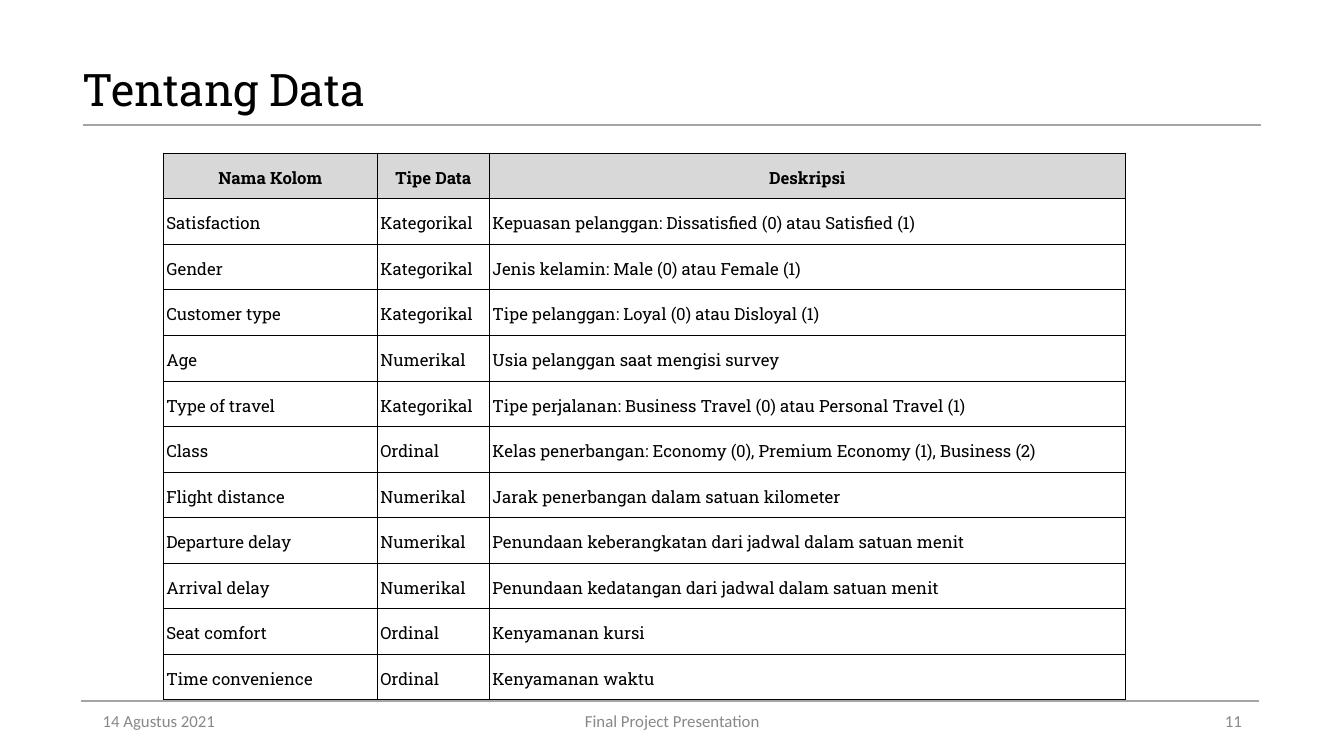
from dataclasses import dataclass

from lxml import etree
from pptx import Presentation
from pptx.dml.color import RGBColor
from pptx.enum.shapes import MSO_CONNECTOR
from pptx.enum.text import MSO_ANCHOR, PP_ALIGN
from pptx.oxml.ns import qn
from pptx.util import Inches, Pt

STRAIGHT = MSO_CONNECTOR.STRAIGHT
MIDDLE, BOTTOM = MSO_ANCHOR.MIDDLE, MSO_ANCHOR.BOTTOM
LEFT, CENTER, RIGHT = PP_ALIGN.LEFT, PP_ALIGN.CENTER, PP_ALIGN.RIGHT

BLACK = RGBColor(0x00, 0x00, 0x00)
FOOTER_GRAY = RGBColor(0x88, 0x88, 0x88)
RULE_GRAY = RGBColor(0xA5, 0xA5, 0xA5)
HEADER_GRAY = RGBColor(0xD8, 0xD8, 0xD8)

SLIDE_W, SLIDE_H = Inches(13.33), Inches(7.5)

TITLE_FONT = {"name": "Roboto Slab", "size": Pt(32), "bold": False}
FOOTER_FONT = {"name": "Calibri", "size": Pt(12), "bold": False}
HEADER_FONT = {"name": "Roboto Slab", "size": Pt(12), "bold": True}
BODY_FONT = HEADER_FONT | {"bold": False}


@dataclass(frozen=True)
class Label:
    """A text box; its lengths are percentages of the slide."""
    text: str
    left: float
    top: float
    width: float
    height: float
    font: dict
    color: RGBColor
    align: PP_ALIGN = LEFT
    spacing: float = 1.0


@dataclass(frozen=True)
class Rule:
    """A horizontal line; its lengths are percentages of the slide."""
    start: float
    end: float
    top: float


FOOTER_TOP, FOOTER_H = 92.67, 5.33
LABELS = [
    Label("14 Agustus 2021", 6.9, FOOTER_TOP, 22.5, FOOTER_H, FOOTER_FONT, FOOTER_GRAY),
    Label("Final Project Presentation", 33.15, FOOTER_TOP, 33.75, FOOTER_H,
          FOOTER_FONT, FOOTER_GRAY, CENTER),
    Label("11", 70.65, FOOTER_TOP, 22.5, FOOTER_H, FOOTER_FONT, FOOTER_GRAY, RIGHT),
    Label("Tentang Data", 5.43, 2.5, 86.25, 19.33, TITLE_FONT, BLACK, spacing=0.9),
]
RULES = [Rule(6, 93.7, FOOTER_TOP), Rule(6.15, 93.85, 16.53)]

TABLE_LEFT, TABLE_TOP = 12.15, 20.27
COLUMN_WIDTHS = (15.93, 8.34, 47.3)
ROW_HEIGHT = 6.03
ROWS = [
    ("Nama Kolom", "Tipe Data", "Deskripsi"),
    ("Satisfaction", "Kategorikal", "Kepuasan pelanggan: Dissatisfied (0) atau Satisfied (1)"),
    ("Gender", "Kategorikal", "Jenis kelamin: Male (0) atau Female (1)"),
    ("Customer type", "Kategorikal", "Tipe pelanggan: Loyal (0) atau Disloyal (1)"),
    ("Age", "Numerikal", "Usia pelanggan saat mengisi survey"),
    ("Type of travel", "Kategorikal",
     "Tipe perjalanan: Business Travel (0) atau Personal Travel (1)"),
    ("Class", "Ordinal", "Kelas penerbangan: Economy (0), Premium Economy (1), Business (2)"),
    ("Flight distance", "Numerikal", "Jarak penerbangan dalam satuan kilometer"),
    ("Departure delay", "Numerikal", "Penundaan keberangkatan dari jadwal dalam satuan menit"),
    ("Arrival delay", "Numerikal", "Penundaan kedatangan dari jadwal dalam satuan menit"),
    ("Seat comfort", "Ordinal", "Kenyamanan kursi"),
    ("Time convenience", "Ordinal", "Kenyamanan waktu"),
]


def across(percent: float) -> int:
    return round(SLIDE_W * percent / 100)


def down(percent: float) -> int:
    return round(SLIDE_H * percent / 100)


def set_attrs(target, values: dict) -> None:
    for name, value in values.items():
        setattr(target, name, value)


def write(tf, text: str, font: dict, color: RGBColor, align: PP_ALIGN, spacing: float) -> None:
    p = tf.paragraphs[0]
    set_attrs(p, {"alignment": align, "line_spacing": spacing})
    r = p.add_run()
    r.text = text
    set_attrs(r.font, font)
    r.font.color.rgb = color


def add_label(s, label: Label) -> None:
    box = s.shapes.add_textbox(across(label.left), down(label.top),
                               across(label.width), down(label.height))
    tf = box.text_frame
    set_attrs(tf, {"word_wrap": True, "vertical_anchor": MIDDLE})
    write(tf, label.text, label.font, label.color, label.align, label.spacing)


def add_rule(s, rule: Rule) -> None:
    y = down(rule.top)
    line = s.shapes.add_connector(STRAIGHT, across(rule.start), y, across(rule.end), y)
    line.line.color.rgb = RULE_GRAY
    line.line.width = Pt(1.5)
    etree.SubElement(line._element.spPr, qn("a:effectLst"))


def add_borders(cell) -> None:
    tc_pr = cell._tc.get_or_add_tcPr()
    for side in ("a:lnL", "a:lnR", "a:lnT", "a:lnB"):
        ln = etree.SubElement(tc_pr, qn(side), w=str(Pt(0.8)))
        fill = etree.SubElement(ln, qn("a:solidFill"))
        etree.SubElement(fill, qn("a:srgbClr"), val=str(BLACK))


def fill_cell(cell, text: str, is_header: bool) -> None:
    set_attrs(cell, {
        "vertical_anchor": BOTTOM,
        "margin_left": Inches(0.03), "margin_right": Inches(0.03),
        "margin_top": Inches(0.1), "margin_bottom": Inches(0.12),
    })
    add_borders(cell)
    if is_header:
        cell.fill.solid()
        cell.fill.fore_color.rgb = HEADER_GRAY
    else:
        cell.fill.background()
    write(cell.text_frame, text, HEADER_FONT if is_header else BODY_FONT, BLACK,
          CENTER if is_header else LEFT, 1.15)


def add_data_table(s) -> None:
    table = s.shapes.add_table(
        len(ROWS), len(COLUMN_WIDTHS), across(TABLE_LEFT), down(TABLE_TOP),
        across(sum(COLUMN_WIDTHS)), down(ROW_HEIGHT * len(ROWS))).table
    set_attrs(table, {"first_row": False, "horz_banding": False})
    for column, width in zip(table.columns, COLUMN_WIDTHS):
        column.width = across(width)
    for i, values in enumerate(ROWS):
        table.rows[i].height = down(ROW_HEIGHT)
        for j, text in enumerate(values):
            fill_cell(table.cell(i, j), text, is_header=i == 0)


def main() -> None:
    prs = Presentation()
    set_attrs(prs, {"slide_width": SLIDE_W, "slide_height": SLIDE_H})
    s = prs.slides.add_slide(prs.slide_layouts[6])

    # Title, footer and their rules
    for label in LABELS:
        add_label(s, label)
    for rule in RULES:
        add_rule(s, rule)

    # Column descriptions
    add_data_table(s)

    prs.save("out.pptx")


if __name__ == "__main__":
    main()
